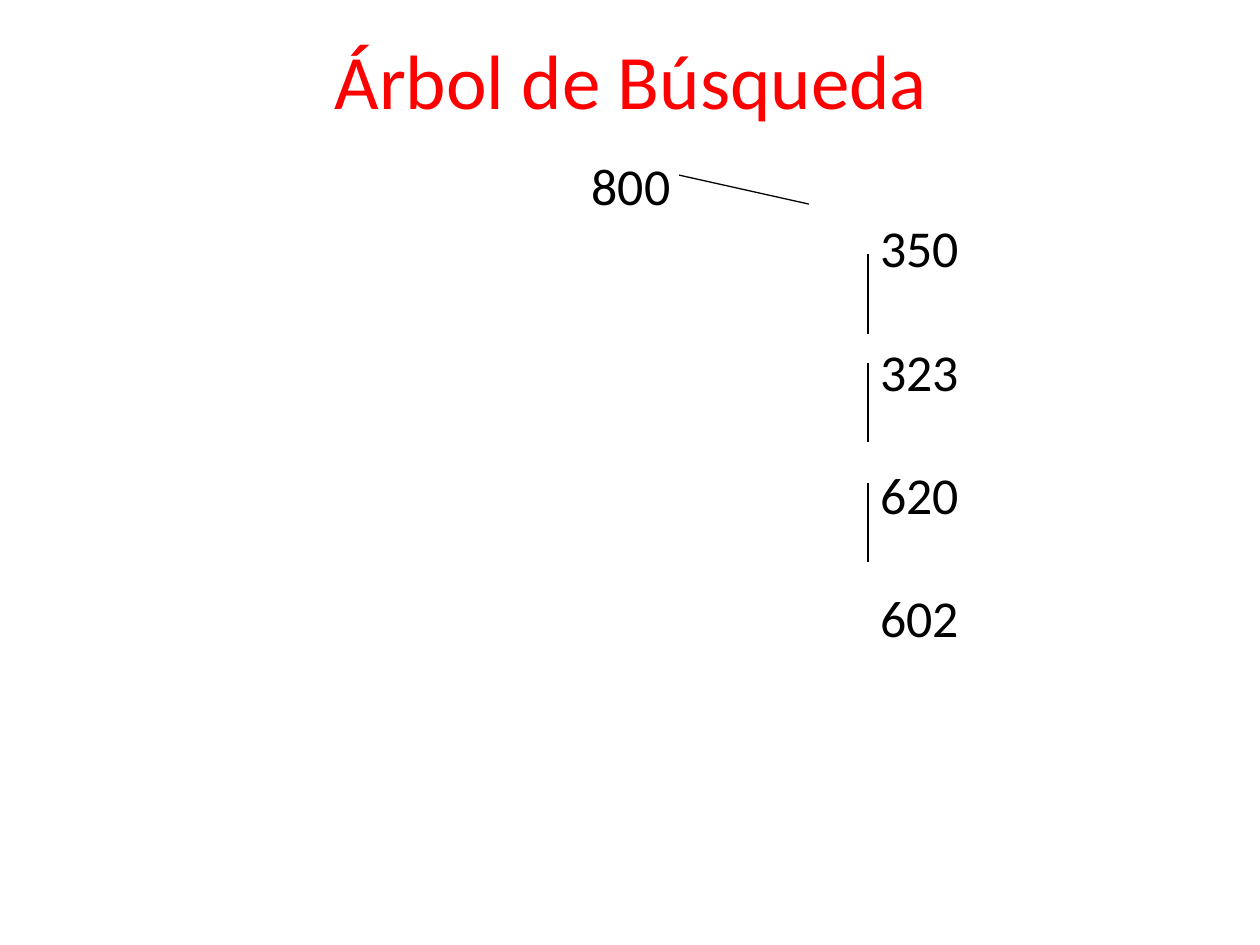
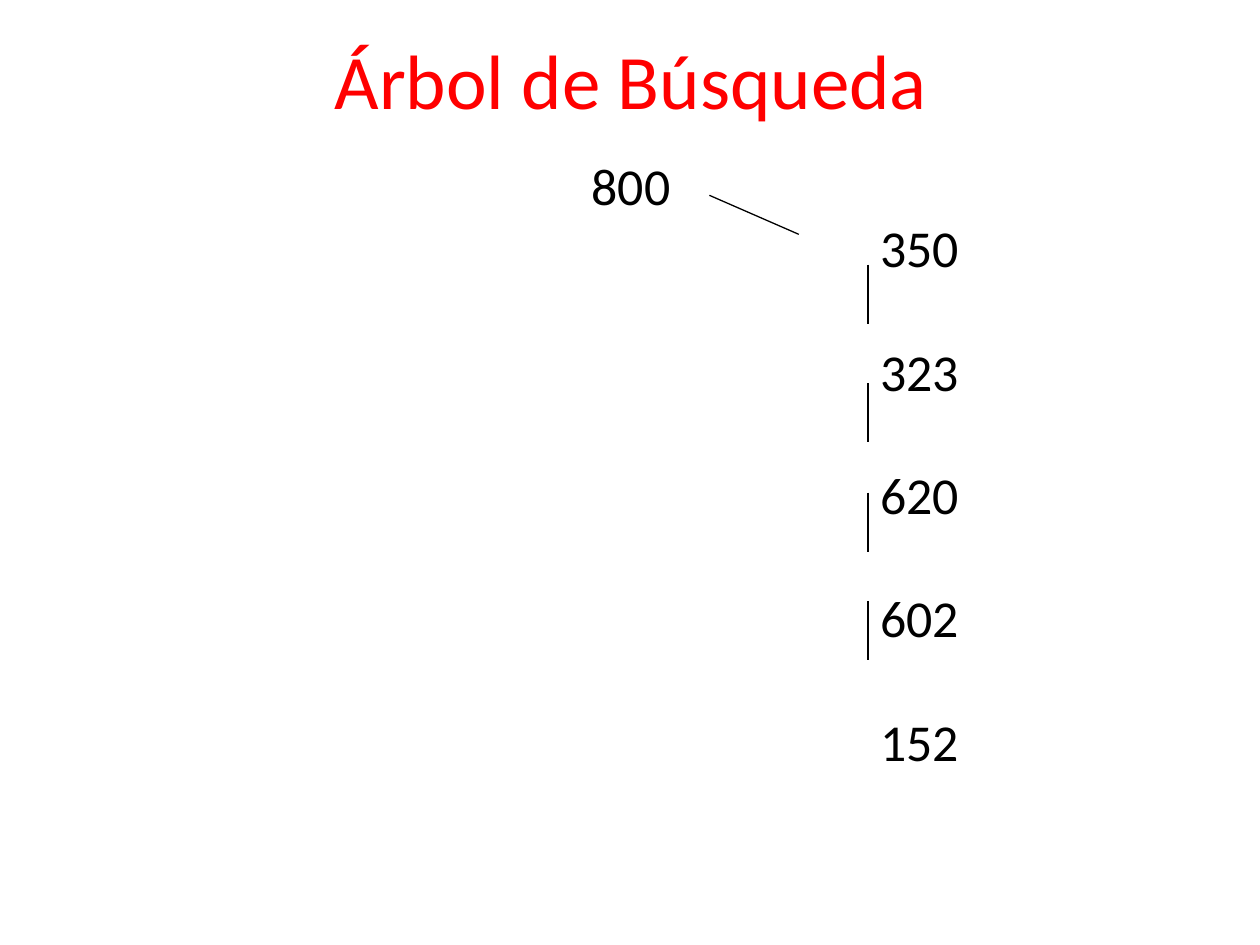
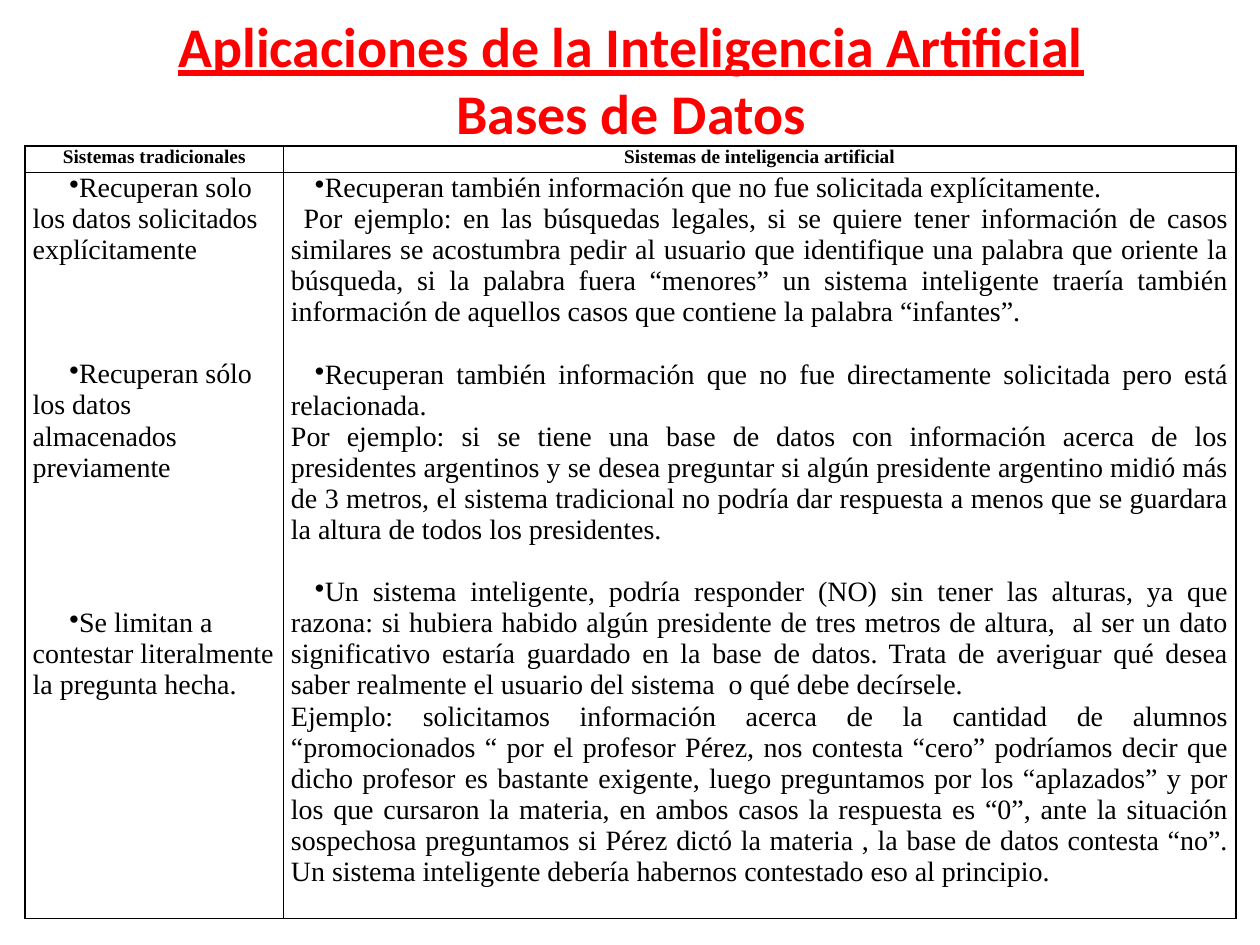
from dataclasses import dataclass

import pptx
import pptx.dml.color
import pptx.enum.shapes
import pptx.enum.text
import pptx.oxml
import pptx.oxml.ns
import pptx.util
from pptx.util import Inches

Align = pptx.enum.text.PP_ALIGN


@dataclass(frozen=True)
class Theme:
    red: str = "FF0000"
    black: str = "000000"
    heading_font: str = "Calibri"
    table_font: str = "Times New Roman"
    title_size: float = 44
    subject_size: float = 32
    node_size: float = 29.6
    header_size: float = 11
    cell_size: float = 16
    cell_line: float = 17.7
    edge_width: float = 0.75
    border_width: float = 1


THEME = Theme()

TREE_TITLE = "Árbol de Búsqueda"
TREES = [
    {
        "root": "800",
        "branch": ["350", "323", "620", "602"],
        "box_height": 5.98,
        "root_edge": (5.39, 1.39, 6.42, 1.62),
        "edge_tops": [2.02, 2.88, 3.83],
        "edge_length": 0.63,
    },
    {
        "root": "800",
        "branch": ["350", "323", "620", "602", "152"],
        "box_height": 6.14,
        "root_edge": (5.63, 1.55, 6.34, 1.86),
        "edge_tops": [2.1, 3.04, 3.91, 4.77],
        "edge_length": 0.47,
    },
]
BRANCH_EDGE_X = 6.89
BRANCH_TEXT_INDENT = 6.38
BRANCH_GAP = 35

SUBJECT = "Aplicaciones de la Inteligencia Artificial"
TOPIC = "Bases de Datos"
COLUMN_WIDTHS = [2.05, 7.56]
ROW_HEIGHTS = [0.21, 5.92]
HEADERS = ["Sistemas tradicionales", "Sistemas de inteligencia artificial"]

# Each paragraph: bulleted, first-line indent, empty lines above, text
TRADITIONAL = [
    (True, 0.29, 0, "Recuperan solo los datos solicitados explícitamente"),
    (True, 0.29, 3, "Recuperan sólo los datos almacenados previamente"),
    (True, 0.29, 4, "Se limitan a contestar literalmente la pregunta hecha."),
]
INTELLIGENT = [
    (True, 0.19, 0, "Recuperan también información que no fue solicitada explícitamente."),
    (False, 0.1, 0,
     "Por ejemplo: en las búsquedas legales, si se quiere tener información de casos "
     "similares se acostumbra pedir al usuario que identifique una palabra que oriente la "
     "búsqueda, si la palabra fuera “menores” un sistema inteligente traería también "
     "información de aquellos casos que contiene la palabra “infantes”."),
    (True, 0.19, 1,
     "Recuperan también información que no fue directamente solicitada pero está "
     "relacionada."),
    (False, 0, 0,
     "Por ejemplo: si se tiene una base de datos con información acerca de los "
     "presidentes argentinos y se desea preguntar si algún presidente argentino midió más "
     "de 3 metros, el sistema tradicional no podría dar respuesta a menos que se guardara "
     "la altura de todos los presidentes."),
    (True, 0.19, 1,
     "Un sistema inteligente, podría responder (NO) sin tener las alturas, ya que "
     "razona: si hubiera habido algún presidente de tres metros de altura,  al ser un dato "
     "significativo estaría guardado en la base de datos. Trata de averiguar qué desea "
     "saber realmente el usuario del sistema  o qué debe decírsele."),
    (False, 0, 0,
     "Ejemplo: solicitamos información acerca de la cantidad de alumnos "
     "“promocionados “ por el profesor Pérez, nos contesta “cero” podríamos decir que "
     "dicho profesor es bastante exigente, luego preguntamos por los “aplazados” y por "
     "los que cursaron la materia, en ambos casos la respuesta es “0”, ante la situación "
     "sospechosa preguntamos si Pérez dictó la materia , la base de datos contesta “no”. "
     "Un sistema inteligente debería habernos contestado eso al principio."),
]
COLUMNS = [(TRADITIONAL, Align.LEFT), (INTELLIGENT, Align.JUSTIFY)]


def rgb(color):
    return pptx.dml.color.RGBColor.from_string(color)


def add_run(paragraph, text, size, font=THEME.heading_font, color=THEME.black,
            bold=False, underline=False):
    run = paragraph.add_run()
    run.text = text
    run.font.name = font
    run.font.size = pptx.util.Pt(size)
    run.font.color.rgb = rgb(color)
    run.font.bold = bold
    run.font.underline = underline


def next_paragraph(text_frame, index):
    """Return the paragraph every frame starts with, then new ones."""
    return text_frame.add_paragraph() if index else text_frame.paragraphs[0]


def indent(paragraph, left, first_line=0):
    properties = paragraph._p.get_or_add_pPr()
    properties.set("marL", str(Inches(left)))
    properties.set("indent", str(Inches(first_line)))
    return properties


def add_titled_slide(presentation):
    """Add a slide and return it with its placed, still empty title paragraph."""
    slide = presentation.slides.add_slide(presentation.slide_layouts[5])
    title = slide.shapes.title
    title.left, title.top = Inches(0.51), Inches(0)
    title.width, title.height = Inches(9), Inches(1.25)
    frame = title.text_frame
    frame.auto_size = pptx.enum.text.MSO_AUTO_SIZE.NONE
    frame.vertical_anchor = pptx.enum.text.MSO_ANCHOR.MIDDLE
    paragraph = frame.paragraphs[0]
    paragraph.alignment = Align.CENTER
    return slide, paragraph


def add_edge(slide, x1, y1, x2, y2):
    edge = slide.shapes.add_connector(
        pptx.enum.shapes.MSO_CONNECTOR.STRAIGHT, *map(Inches, (x1, y1, x2, y2)))
    edge.line.color.rgb = rgb(THEME.black)
    edge.line.width = pptx.util.Pt(THEME.edge_width)
    edge._element.spPr.append(pptx.oxml.parse_xml(
        f"<a:effectLst {pptx.oxml.ns.nsdecls('a')}/>"))


def add_tree_slide(presentation, tree):
    slide, title = add_titled_slide(presentation)
    add_run(title, TREE_TITLE, THEME.title_size, color=THEME.red)

    box = slide.shapes.add_textbox(
        Inches(0.51), Inches(1.15), Inches(9), Inches(tree["box_height"]))
    frame = box.text_frame
    frame.word_wrap = True
    frame.margin_top = Inches(0.07)
    for level, node in enumerate([tree["root"], *tree["branch"]]):
        paragraph = next_paragraph(frame, level)
        if level == 0:
            paragraph.alignment = Align.CENTER
        else:
            indent(paragraph, BRANCH_TEXT_INDENT)
            paragraph.space_before = pptx.util.Pt(BRANCH_GAP if level > 1 else 0)
        add_run(paragraph, node, THEME.node_size)

    add_edge(slide, *tree["root_edge"])
    for top in tree["edge_tops"]:
        add_edge(slide, BRANCH_EDGE_X, top, BRANCH_EDGE_X, top + tree["edge_length"])


def format_cell(cell):
    cell.margin_left = cell.margin_right = Inches(0.06)
    cell.margin_top = cell.margin_bottom = 0
    properties = cell._tc.get_or_add_tcPr()
    for side in "LRTB":
        properties.append(pptx.oxml.parse_xml(
            f"<a:ln{side} {pptx.oxml.ns.nsdecls('a')} "
            f'w="{pptx.util.Pt(THEME.border_width)}">'
            f'<a:solidFill><a:srgbClr val="{THEME.black}"/></a:solidFill></a:ln{side}>'))
    cell.fill.background()


def fill_column_cell(cell, paragraphs, alignment):
    for index, (bulleted, first_line, gap, text) in enumerate(paragraphs):
        paragraph = next_paragraph(cell.text_frame, index)
        properties = indent(paragraph, 0, first_line)
        if bulleted:
            properties.append(pptx.oxml.parse_xml(
                f'<a:buChar {pptx.oxml.ns.nsdecls("a")} char="•"/>'))
        paragraph.alignment = alignment
        if gap:
            paragraph.space_before = pptx.util.Pt(gap * THEME.cell_line)
        add_run(paragraph, text, THEME.cell_size, THEME.table_font)


def add_comparison_slide(presentation):
    slide, title = add_titled_slide(presentation)
    add_run(title, SUBJECT, THEME.subject_size, color=THEME.red, bold=True, underline=True)
    title.add_line_break()
    add_run(title, TOPIC, THEME.subject_size, color=THEME.red, bold=True)

    table = slide.shapes.add_table(
        len(ROW_HEIGHTS), len(COLUMN_WIDTHS), Inches(0.2), Inches(1.16),
        Inches(sum(COLUMN_WIDTHS)), Inches(sum(ROW_HEIGHTS))).table
    table.first_row = table.horz_banding = False
    for row, height in zip(table.rows, ROW_HEIGHTS):
        row.height = Inches(height)
    for index, width in enumerate(COLUMN_WIDTHS):
        table.columns[index].width = Inches(width)
        header, body = table.cell(0, index), table.cell(1, index)
        format_cell(header)
        format_cell(body)
        paragraph = header.text_frame.paragraphs[0]
        paragraph.alignment = Align.CENTER
        add_run(paragraph, HEADERS[index], THEME.header_size, THEME.table_font, bold=True)
        fill_column_cell(body, *COLUMNS[index])


def main():
    presentation = pptx.Presentation()
    presentation.slide_width, presentation.slide_height = Inches(10), Inches(7.5)
    for tree in TREES:
        add_tree_slide(presentation, tree)
    add_comparison_slide(presentation)
    presentation.save("out.pptx")


if __name__ == "__main__":
    main()
